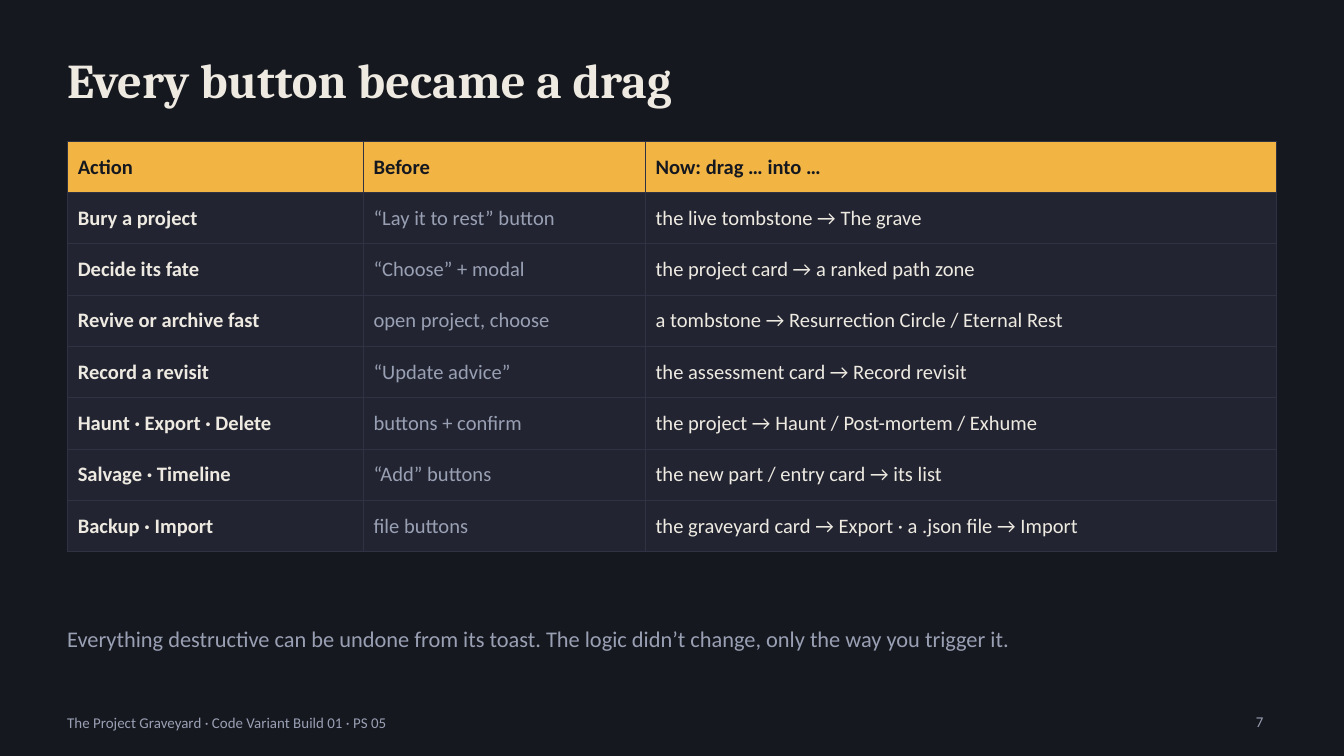
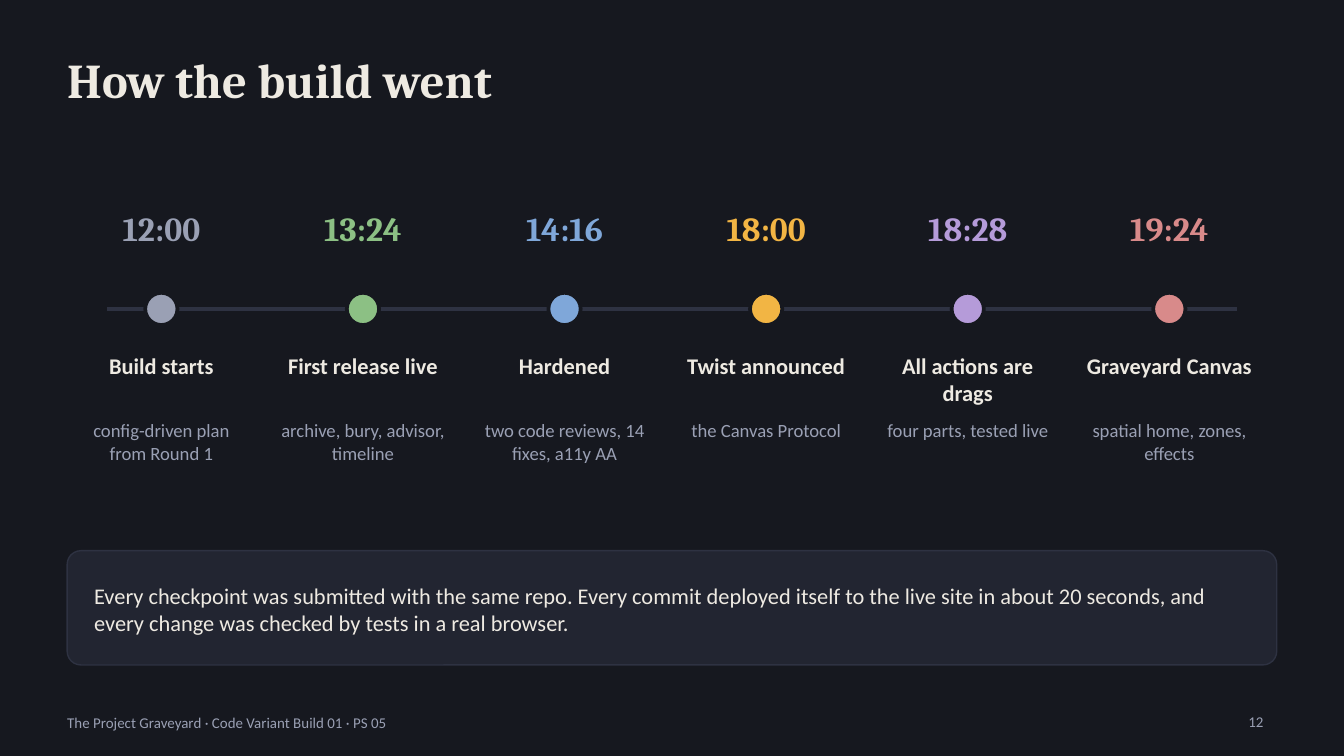
from lxml import etree
from pptx import Presentation
from pptx.dml.color import RGBColor
from pptx.enum.shapes import MSO_CONNECTOR, MSO_SHAPE
from pptx.enum.text import MSO_ANCHOR, PP_ALIGN
from pptx.oxml.ns import qn
from pptx.util import Cm, Pt

# Colours
NIGHT = RGBColor(0x16, 0x18, 0x1F)
PANEL = RGBColor(0x22, 0x25, 0x31)
RULE = RGBColor(0x2E, 0x32, 0x42)
IVORY = RGBColor(0xEE, 0xEA, 0xE2)
MUTED = RGBColor(0x9A, 0xA0, 0xB4)
AMBER = RGBColor(0xF2, 0xB5, 0x44)
GREEN = RGBColor(0x8C, 0xC0, 0x84)
BLUE = RGBColor(0x7F, 0xA7, 0xD9)
VIOLET = RGBColor(0xB5, 0x9B, 0xD9)
ROSE = RGBColor(0xD8, 0x8A, 0x8A)

# Shared style, lengths in centimetres
BODY, SERIF = "Calibri", "Cambria"
LEFT, WIDTH = 1.27, 22.86
FOOTER_TOP, FOOTER_HEIGHT = 13.34, 0.64
FOOTER = "The Project Graveyard · Code Variant Build 01 · PS 05"


class Deck:
    """Holds the deck style and the slide being built."""

    def __init__(self):
        self.file = Presentation()
        self.file.slide_width, self.file.slide_height = Cm(25.4), Cm(14.29)
        self.slide = None

    def new_slide(self, title, number):
        self.slide = self.file.slides.add_slide(self.file.slide_layouts[6])
        fill = self.slide.background.fill
        fill.solid()
        fill.fore_color.rgb = NIGHT
        self.text(FOOTER, LEFT, FOOTER_TOP, 15.24, FOOTER_HEIGHT, size=8,
                  color=MUTED, anchor=MSO_ANCHOR.MIDDLE)
        self.text(title, LEFT, 0.71, WIDTH, 1.57, size=26, font=SERIF,
                  bold=True, anchor=MSO_ANCHOR.MIDDLE)
        self.text(str(number), 23.11, FOOTER_TOP, 1.02, FOOTER_HEIGHT, size=8,
                  color=MUTED, align=PP_ALIGN.RIGHT, inset=(0.25, 0.13))

    def add_run(self, frame, text, size, color, font=BODY, bold=False, align=None):
        paragraph = frame.paragraphs[0]
        paragraph.alignment = align
        run = paragraph.add_run()
        run.text = text
        run.font.size, run.font.name, run.font.bold = Pt(size), font, bold
        run.font.color.rgb = color

    def text(self, text, x, y, w, h, size=12, color=IVORY, font=BODY, bold=False,
             align=PP_ALIGN.LEFT, anchor=MSO_ANCHOR.TOP, inset=(0, 0)):
        box = self.slide.shapes.add_textbox(Cm(x), Cm(y), Cm(w), Cm(h))
        frame = box.text_frame
        frame.word_wrap = True
        frame.vertical_anchor = anchor
        frame.margin_left = frame.margin_right = Cm(inset[0])
        frame.margin_top = frame.margin_bottom = Cm(inset[1])
        self.add_run(frame, text, size, color, font, bold, align)

    def shape(self, kind, x, y, w, h, fill, line, line_width):
        shape = self.slide.shapes.add_shape(kind, Cm(x), Cm(y), Cm(w), Cm(h))
        shape.shadow.inherit = False
        shape.fill.solid()
        shape.fill.fore_color.rgb = fill
        shape.line.color.rgb = line
        shape.line.width = Pt(line_width)
        return shape

    def line(self, x1, y1, x2, y2, color, width):
        line = self.slide.shapes.add_connector(
            MSO_CONNECTOR.STRAIGHT, Cm(x1), Cm(y1), Cm(x2), Cm(y2))
        line.line.color.rgb = color
        line.line.width = Pt(width)
        etree.SubElement(line._element.spPr, qn("a:effectLst"))

    def cell_borders(self, cell, color, width):
        properties = cell._tc.get_or_add_tcPr()
        for side in ("a:lnL", "a:lnR", "a:lnT", "a:lnB"):
            border = etree.SubElement(properties, qn(side), w=str(Pt(width)))
            fill = etree.SubElement(border, qn("a:solidFill"))
            etree.SubElement(fill, qn("a:srgbClr"), val=str(color))

    def table(self, rows, x, y, column_widths, row_height):
        table = self.slide.shapes.add_table(
            len(rows), len(column_widths), Cm(x), Cm(y),
            Cm(sum(column_widths)), Cm(row_height * len(rows))).table
        for column, width in zip(table.columns, column_widths):
            column.width = Cm(width)
        for r, row in enumerate(rows):
            table.rows[r].height = Cm(row_height)
            for c, text in enumerate(row):
                cell = table.cell(r, c)
                self.cell_borders(cell, RULE, 0.5)
                cell.fill.solid()
                cell.fill.fore_color.rgb = PANEL if r else AMBER
                cell.vertical_anchor = MSO_ANCHOR.MIDDLE
                cell.margin_left = cell.margin_right = Cm(0.2)
                cell.margin_top = cell.margin_bottom = Cm(0.1)
                color = (IVORY, MUTED, IVORY)[c] if r else NIGHT
                self.add_run(cell.text_frame, text, 11, color,
                             bold=r == 0 or c == 0)

    def milestone(self, center, axis, color, time, heading, detail):
        dot, width = 0.61, 3.3
        self.shape(MSO_SHAPE.OVAL, center - dot / 2, axis - dot / 2, dot, dot,
                   color, NIGHT, 2)
        left = center - width / 2
        self.text(time, left, 3.94, width, 1.02, 18, color, SERIF, True,
                  PP_ALIGN.CENTER)
        self.text(heading, left, 6.65, width, 1.27, bold=True,
                  align=PP_ALIGN.CENTER)
        self.text(detail, left, 7.92, width, 1.9, 10, MUTED,
                  align=PP_ALIGN.CENTER)


deck = Deck()

# Slide: actions before and now
deck.new_slide("Every button became a drag", 7)
ACTIONS = [
    ("Action", "Before", "Now: drag … into …"),
    ("Bury a project", "“Lay it to rest” button", "the live tombstone → The grave"),
    ("Decide its fate", "“Choose” + modal", "the project card → a ranked path zone"),
    ("Revive or archive fast", "open project, choose",
     "a tombstone → Resurrection Circle / Eternal Rest"),
    ("Record a revisit", "“Update advice”", "the assessment card → Record revisit"),
    ("Haunt · Export · Delete", "buttons + confirm",
     "the project → Haunt / Post-mortem / Exhume"),
    ("Salvage · Timeline", "“Add” buttons", "the new part / entry card → its list"),
    ("Backup · Import", "file buttons",
     "the graveyard card → Export · a .json file → Import"),
]
deck.table(ACTIONS, LEFT, 2.67, (5.59, 5.33, 11.94), 0.97)
deck.text("Everything destructive can be undone from its toast. "
          "The logic didn’t change, only the way you trigger it.",
          LEFT, 11.81, WIDTH, 1.02, color=MUTED)

# Slide: build timeline
deck.new_slide("How the build went", 12)
AXIS, FIRST_CENTER, STEP = 5.84, 3.05, 3.81
MILESTONES = [
    (MUTED, "12:00", "Build starts", "config-driven plan from Round 1"),
    (GREEN, "13:24", "First release live", "archive, bury, advisor, timeline"),
    (BLUE, "14:16", "Hardened", "two code reviews, 14 fixes, a11y AA"),
    (AMBER, "18:00", "Twist announced", "the Canvas Protocol"),
    (VIOLET, "18:28", "All actions are drags", "four parts, tested live"),
    (ROSE, "19:24", "Graveyard Canvas", "spatial home, zones, effects"),
]
deck.line(2.03, AXIS, 23.37, AXIS, RULE, 2)
for i, milestone in enumerate(MILESTONES):
    deck.milestone(FIRST_CENTER + i * STEP, AXIS, *milestone)

# Closing panel
panel = deck.shape(MSO_SHAPE.ROUNDED_RECTANGLE, LEFT, 10.41, WIDTH, 2.16,
                   PANEL, RULE, 0.75)
panel.adjustments[0] = 0.12
deck.text("Every checkpoint was submitted with the same repo. Every commit "
          "deployed itself to the live site in about 20 seconds, and every "
          "change was checked by tests in a real browser.",
          1.78, 10.62, 21.84, 1.78, anchor=MSO_ANCHOR.MIDDLE)

deck.file.save("out.pptx")
